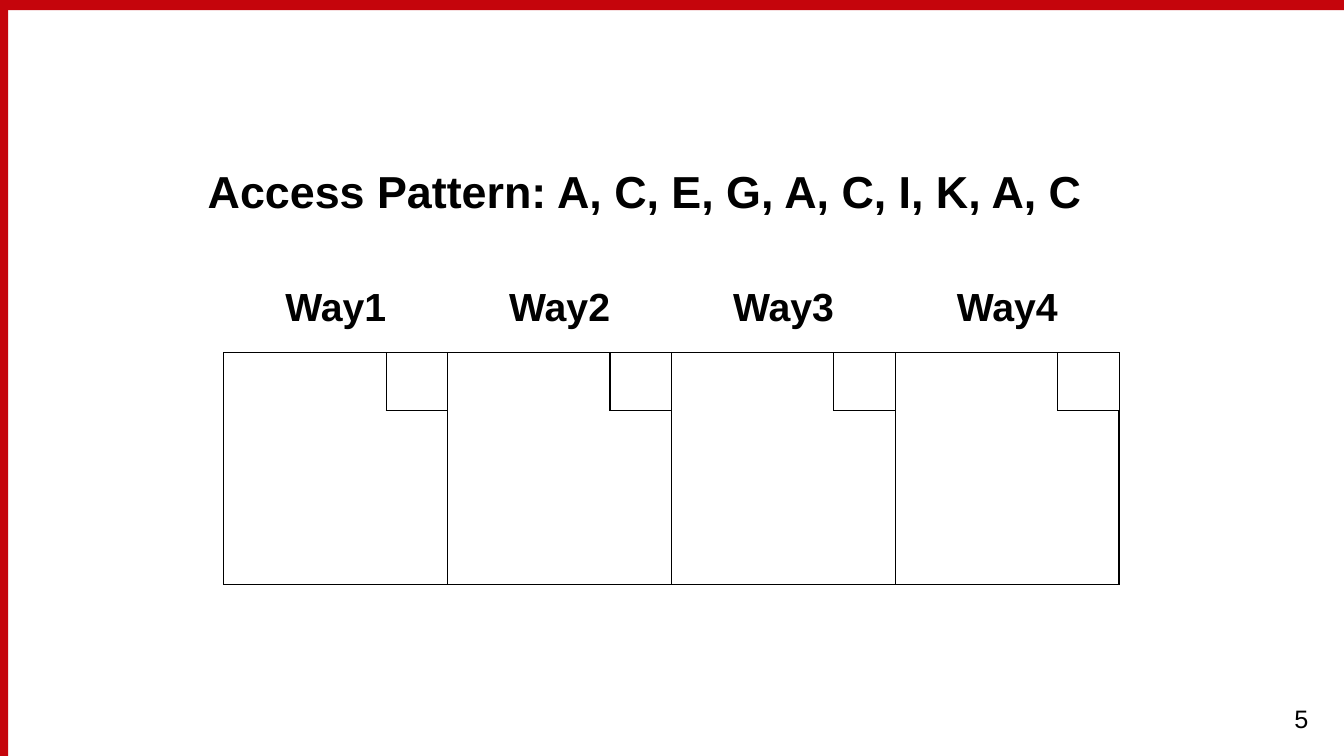
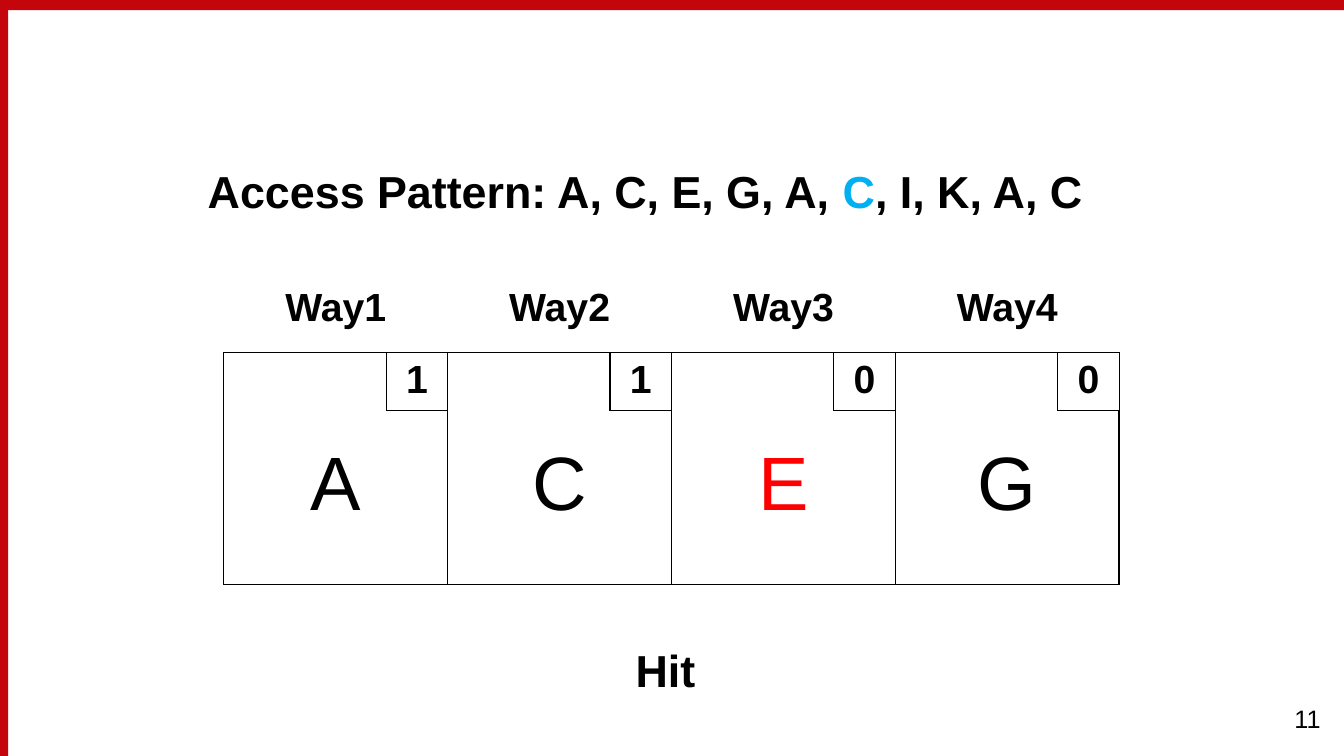
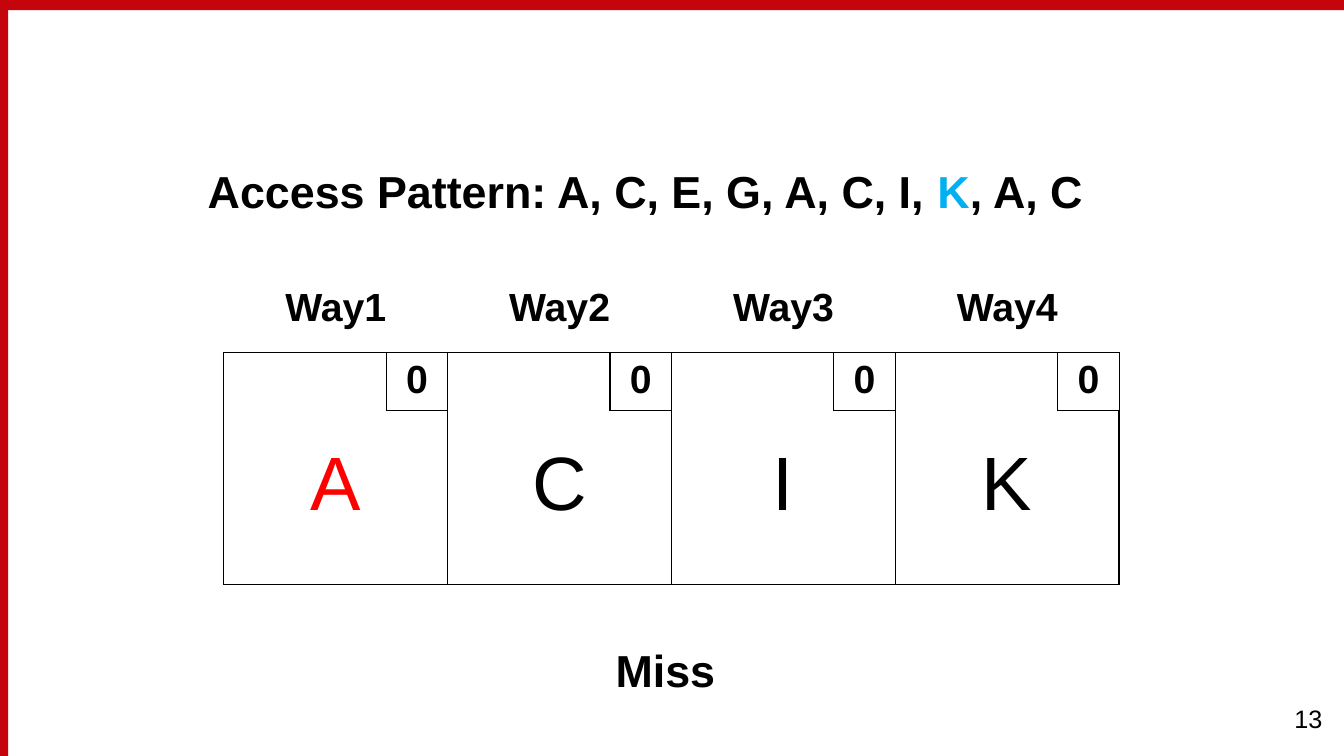
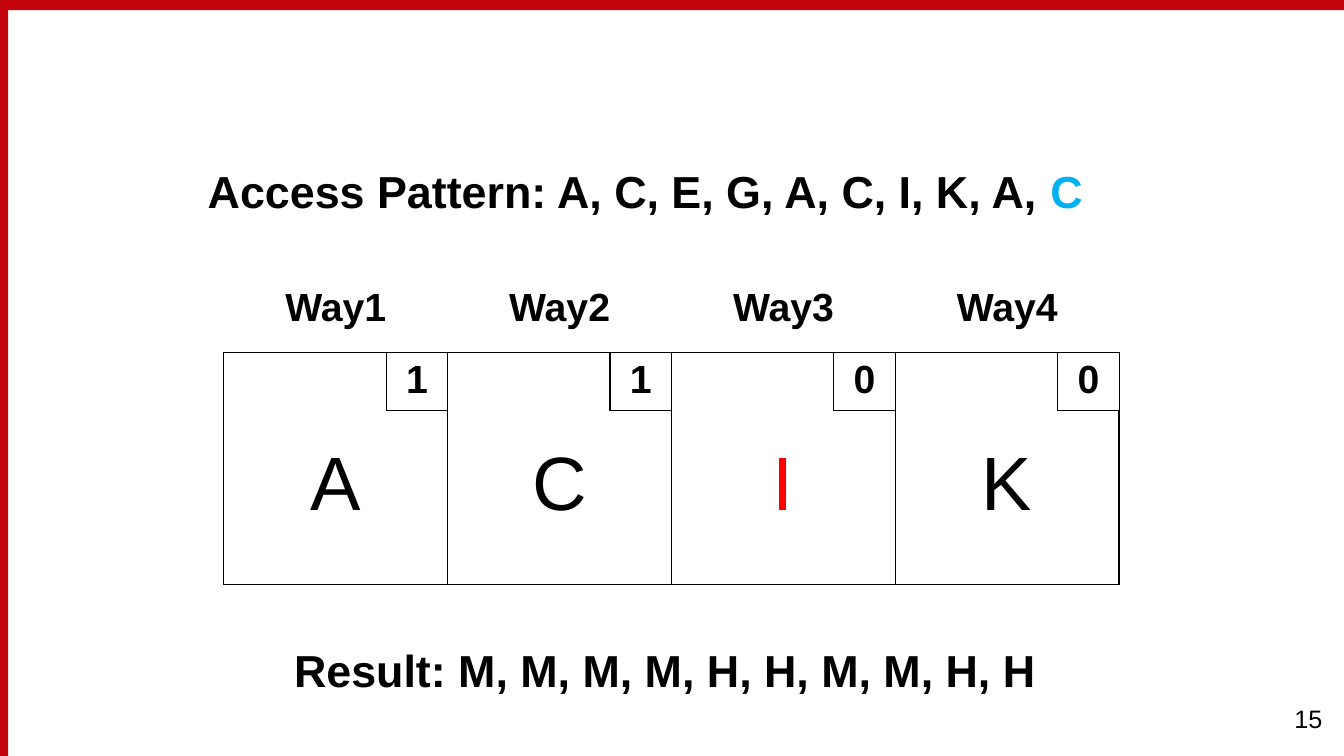
from lxml import etree
from pptx import Presentation
from pptx.dml.color import RGBColor
from pptx.enum.shapes import MSO_SHAPE
from pptx.enum.text import PP_ALIGN
from pptx.oxml.ns import qn
from pptx.util import Inches, Pt

FONT = "Arial"
BLACK = RGBColor(0x00, 0x00, 0x00)
WHITE = RGBColor(0xFF, 0xFF, 0xFF)
BAND_RED = RGBColor(0xC5, 0x05, 0x0C)
ACCESS_BLUE = RGBColor(0x00, 0xB0, 0xF0)
VICTIM_RED = RGBColor(0xFF, 0x00, 0x00)

ACCESSES = ["A", "C", "E", "G", "A", "C", "I", "K", "A", "C"]
WAYS = ["Way1", "Way2", "Way3", "Way4"]

# access: index of the current access; victim: index of the next way to replace
STEPS = [
    {"number": 5, "access": None, "lines": "", "bits": "", "victim": None, "result": ""},
    {"number": 11, "access": 5, "lines": "ACEG", "bits": "1100", "victim": 2, "result": "Hit"},
    {"number": 13, "access": 7, "lines": "ACIK", "bits": "0000", "victim": 0, "result": "Miss"},
    {"number": 15, "access": 9, "lines": "ACIK", "bits": "1100", "victim": 2,
     "result": "Result: M, M, M, M, H, H, M, M, H, H"},
]

SLIDE_WIDTH, SLIDE_HEIGHT = 13.33, 7.5
BANDS = [(0, 0, SLIDE_WIDTH, 0.1), (0, 0, 0.08, SLIDE_HEIGHT)]
CACHE_LEFT, CACHE_TOP = 2.22, 3.5
WAY_WIDTH, WAY_HEIGHT = 2.22, 2.3
BIT_WIDTH, BIT_HEIGHT = 0.61, 0.57


def write(paragraph, spans, size, bold=False, align=PP_ALIGN.CENTER):
    """Fill a paragraph with (text, colour) spans that share one font."""
    paragraph.alignment = align
    paragraph.font.name = FONT
    paragraph.font.size = Pt(size)
    paragraph.font.bold = bold
    for text, colour in spans:
        span = paragraph.add_run()
        span.text = text
        span.font.color.rgb = colour


def add_text(page, area, spans, size, **style):
    box = page.shapes.add_textbox(*map(Inches, area))
    box.text_frame.word_wrap = True
    write(box.text_frame.paragraphs[0], spans, size, **style)


def style_cell(cell):
    """Give a cell a white fill and thin black borders."""
    cell.fill.solid()
    cell.fill.fore_color.rgb = WHITE
    properties = cell._tc.get_or_add_tcPr()
    for position, side in enumerate(("lnL", "lnR", "lnT", "lnB")):
        line = etree.Element(qn(f"a:{side}"), w=str(Pt(1)))
        fill = etree.SubElement(line, qn("a:solidFill"))
        etree.SubElement(fill, qn("a:srgbClr"), val=str(BLACK))
        properties.insert(position, line)


def add_row_table(page, area, columns):
    """Add a one-row table and return its cells."""
    table = page.shapes.add_table(1, columns, *map(Inches, area)).table
    table.first_row = table.horz_banding = False
    cells = list(table.rows[0].cells)
    for cell in cells:
        style_cell(cell)
    return cells


def add_bands(layout, page):
    """Draw the red bands on a page, then move them to its layout."""
    for placeholder in list(layout.placeholders):
        layout.shapes.element.remove(placeholder.element)
    for area in BANDS:
        band = page.shapes.add_shape(MSO_SHAPE.RECTANGLE, *map(Inches, area))
        band.shadow.inherit = False
        band.fill.solid()
        band.fill.fore_color.rgb = BAND_RED
        band.line.fill.background()
        layout.shapes.element.append(band.element)


def access_spans(current):
    if current is None:
        return [("Access Pattern: " + ", ".join(ACCESSES), BLACK)]
    before = "".join(f"{name}, " for name in ACCESSES[:current])
    after = "".join(f", {name}" for name in ACCESSES[current + 1:])
    spans = [("Access Pattern: " + before, BLACK),
             (ACCESSES[current], ACCESS_BLUE), (after, BLACK)]
    return [span for span in spans if span[0]]


def add_cache(page, step):
    cells = add_row_table(
        page, (CACHE_LEFT, CACHE_TOP, WAY_WIDTH * len(WAYS), WAY_HEIGHT), len(WAYS))
    for index, name in enumerate(step["lines"]):
        paragraph = cells[index].text_frame.paragraphs[0]
        paragraph.line_spacing = 2.0
        colour = VICTIM_RED if index == step["victim"] else BLACK
        write(paragraph, [(name, colour)], 54)

    for index, way in enumerate(WAYS):
        left = CACHE_LEFT + index * WAY_WIDTH
        add_text(page, (left, 2.75, WAY_WIDTH, 0.57), [(way, BLACK)], 28, bold=True)
        bit_left = left + WAY_WIDTH - BIT_WIDTH
        bit_cell = add_row_table(page, (bit_left, CACHE_TOP, BIT_WIDTH, BIT_HEIGHT), 1)[0]
        if step["bits"]:
            write(bit_cell.text_frame.paragraphs[0],
                  [(step["bits"][index], BLACK)], 28, bold=True)


def add_step(page, step):
    add_text(page, (1.42, 1.58, 9.96, 0.64), access_spans(step["access"]), 32, bold=True)
    add_cache(page, step)
    if step["result"]:
        add_text(page, (1.62, 6.33, 9.96, 0.64), [(step["result"], BLACK)], 32, bold=True)
    add_text(page, (12.74, 6.93, 0.58, 0.4), [(str(step["number"]), BLACK)], 18,
             align=PP_ALIGN.LEFT)


def main():
    deck = Presentation()
    deck.slide_width = Inches(SLIDE_WIDTH)
    deck.slide_height = Inches(SLIDE_HEIGHT)
    blank = deck.slide_layouts[6]
    pages = [deck.slides.add_slide(blank) for _ in STEPS]
    add_bands(blank, pages[0])
    for page, step in zip(pages, STEPS):
        add_step(page, step)
    deck.save("out.pptx")


if __name__ == "__main__":
    main()
